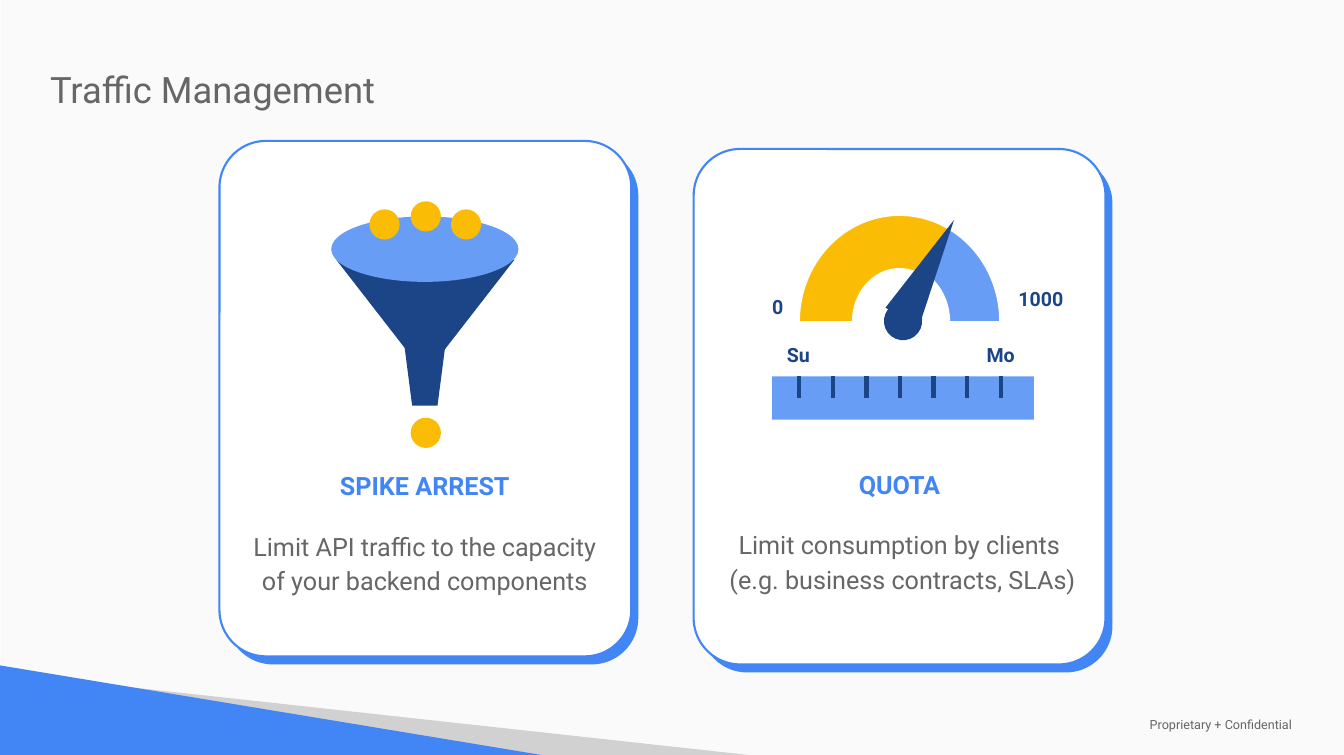
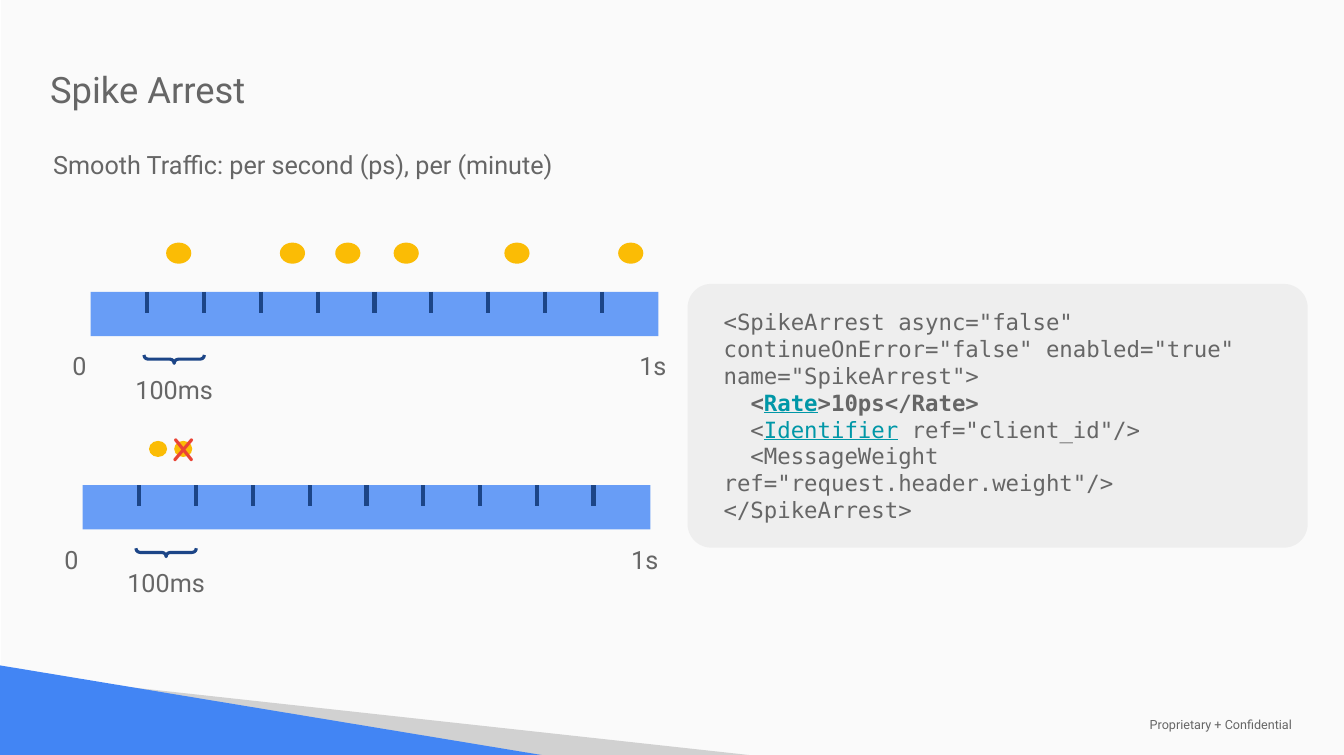
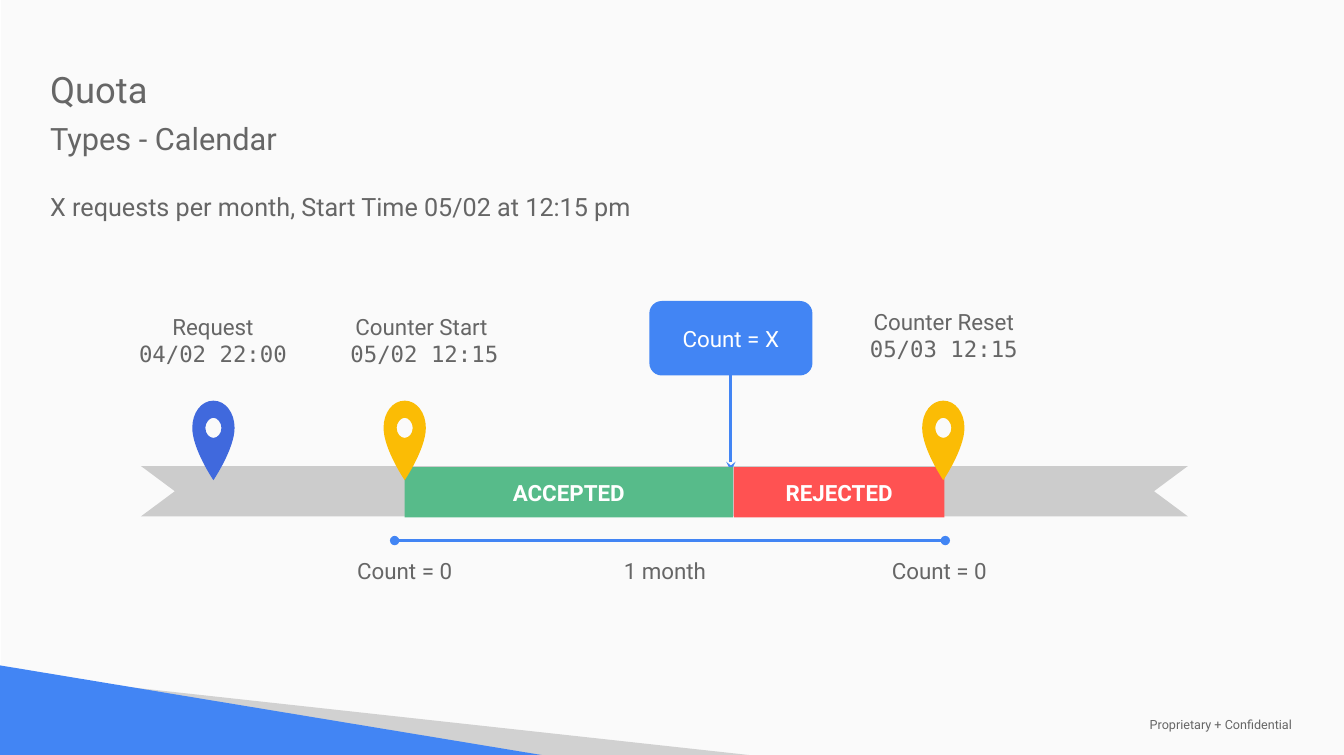
from lxml import etree
from pptx import Presentation
from pptx.dml.color import RGBColor
from pptx.enum import shapes as kinds, text as layout
from pptx.oxml.ns import qn
from pptx.util import Inches, Pt

SHAPE = kinds.MSO_SHAPE
CENTER, LEFT = layout.PP_ALIGN.CENTER, layout.PP_ALIGN.LEFT
TOP, MIDDLE = layout.MSO_ANCHOR.TOP, layout.MSO_ANCHOR.MIDDLE

PAPER, WHITE, GREY = "FAFAFA", "FFFFFF", "666666"
BLUE, LIGHT_BLUE, NAVY = "4285F4", "689DF6", "1C4587"
YELLOW, TEAL = "FBBC05", "0097A7"
SANS, MONO = "Roboto", "DejaVu Sans Mono"


def rgb(value):
    return RGBColor.from_string(value)


def add_run(paragraph, content, size, color, font, bold, underline):
    run = paragraph.add_run()
    run.text = content
    run.font.size, run.font.name = Pt(size), font
    run.font.bold = bold
    run.font.underline = underline or None
    run.font.color.rgb = rgb(color)


def write(frame, lines, size=18, color=GREY, font=SANS, bold=False, align=LEFT,
          anchor=TOP, inset=0.1, spacing=None, before=0):
    """Fill a frame; a line is a string or a list of (string, style changes)."""
    frame.word_wrap = True
    frame.vertical_anchor = anchor
    frame.margin_left = frame.margin_right = Inches(inset)
    frame.margin_top = frame.margin_bottom = Inches(inset)
    base = dict(size=size, color=color, font=font, bold=bold, underline=False)
    for index, line in enumerate(lines):
        paragraph = frame.add_paragraph() if index else frame.paragraphs[0]
        paragraph.alignment = align
        if spacing:
            paragraph.line_spacing = spacing
        if index and before:
            paragraph.space_before = Pt(before)
        for content, changes in [(line, {})] if isinstance(line, str) else line:
            for row, piece in enumerate(content.split("\n")):
                if row:
                    paragraph.add_line_break()
                if piece:
                    add_run(paragraph, piece, **{**base, **changes})


def label(slide, box, *lines, **style):
    write(slide.shapes.add_textbox(*map(Inches, box)).text_frame, lines, **style)


def paint(shape, fill=None, outline=None, width=1):
    shape.shadow.inherit = False
    if fill:
        shape.fill.solid()
        shape.fill.fore_color.rgb = rgb(fill)
    else:
        shape.fill.background()
    if outline:
        shape.line.color.rgb = rgb(outline)
        shape.line.width = Pt(width)
    else:
        shape.line.fill.background()
    return shape


def draw(slide, kind, box, fill=None, outline=None, width=1, adjust=(), turn=0):
    shape = slide.shapes.add_shape(kind, *map(Inches, box))
    for index, value in enumerate(adjust):
        shape.adjustments[index] = value
    if turn:
        shape.rotation = turn
    return paint(shape, fill, outline, width)


def outline_shape(slide, contours, fill):
    """Draw closed contours of (x, y) inches as one filled shape."""
    contours = [[(Inches(x), Inches(y)) for x, y in contour] for contour in contours]
    builder = slide.shapes.build_freeform(*contours[0][0])
    for index, contour in enumerate(contours):
        if index:
            builder.move_to(*contour[0])
        builder.add_line_segments(contour[1:], close=True)
    return paint(builder.convert_to_shape(), fill)


def connect(slide, start, end, color, width, head=None, tail=None):
    line = slide.shapes.add_connector(
        kinds.MSO_CONNECTOR.STRAIGHT, *map(Inches, (*start, *end)))
    line.line.color.rgb = rgb(color)
    line.line.width = Pt(width)
    properties = line.element.spPr
    for tag, arrow in (("a:headEnd", head), ("a:tailEnd", tail)):
        if arrow:
            etree.SubElement(properties.find(qn("a:ln")), qn(tag), type=arrow)
    etree.SubElement(properties, qn("a:effectLst"))
    return line


def ruler(slide, left, top, width, height, ticks):
    draw(slide, SHAPE.RECTANGLE, (left, top, width, height), LIGHT_BLUE)
    for x in ticks:
        connect(slide, (left + x, top), (left + x, top + 0.21), NAVY, 3)


def new_slide(prs, *heading):
    """Add a slide with the shared backdrop, corner, footer and title."""
    slide = prs.slides.add_slide(prs.slide_layouts[6])
    draw(slide, SHAPE.RECTANGLE, (0.01, 0, 13.35, 7.5), PAPER)
    outline_shape(slide, [[(1.14, 6.81), (7.44, 7.5), (5.36, 7.5)]], "D1D1D1")
    outline_shape(slide, [[(0, 6.61), (0, 7.5), (5.38, 7.5)]], BLUE)
    label(slide, (11.29, 7.11, 1.99, 0.18), "Proprietary + Confidential",
          size=9, anchor=MIDDLE, inset=0.13)
    label(slide, (0.4, 0.57, 7.23, 1.12 if len(heading) > 1 else 0.83), *heading,
          size=26, before=6)
    return slide


def card(slide, left, top, name, name_box, body, body_box, anchor):
    """Draw a card; the text boxes are placed from its corner."""
    width, height = 4.09, 5.12
    draw(slide, SHAPE.ROUNDED_RECTANGLE, (left + 0.07, top + 0.08, width, height),
         BLUE, adjust=[0.113])
    draw(slide, SHAPE.ROUNDED_RECTANGLE, (left, top, width, height),
         WHITE, BLUE, 1.5, adjust=[0.113])
    for lines, (x, y, *size), style in (
            ([name], name_box, dict(color=BLUE, bold=True)),
            (body, body_box, dict(spacing=1.15, anchor=anchor))):
        label(slide, (left + x, top + y, *size), *lines, align=CENTER, **style)


def funnel(slide, left, top):
    draw(slide, SHAPE.ISOSCELES_TRIANGLE, (left + 0.05, top + 0.58, 1.77, 1.14),
         NAVY, turn=180)
    draw(slide, SHAPE.FLOWCHART_MANUAL_OPERATION,
         (left + 0.72, top + 1.38, 0.42, 0.65), NAVY)
    draw(slide, SHAPE.OVAL, (left, top + 0.15, 1.86, 0.65), LIGHT_BLUE)
    for x, y in ((0.38, 0.08), (0.79, 0), (1.19, 0.08), (0.79, 2.15)):
        draw(slide, SHAPE.OVAL, (left + x, top + y, 0.3, 0.3), YELLOW)


def quota_gauge(slide, left, top):
    dial = (left + 0.27, top, 1.99, 2.11)
    for color, arc in ((LIGHT_BLUE, (108, 0, 0.25)), (YELLOW, (108, 178.99, 0.265))):
        draw(slide, SHAPE.BLOCK_ARC, dial, color, WHITE, 0.75, arc)
    draw(slide, SHAPE.ISOSCELES_TRIANGLE, (left + 1.36, top - 0.02, 0.38, 1.09),
         NAVY, turn=28.1)
    ruler(slide, left, top + 1.6, 2.6, 0.43, [0.27 + i / 3 for i in range(7)])
    draw(slide, SHAPE.OVAL, (left + 1.11, top + 0.86, 0.38, 0.38), NAVY, turn=8.1)
    for x, y, width, height, anchor, mark in (
            (0.02, 1.21, 0.48, 0.35, MIDDLE, "Su"), (2.03, 1.21, 0.48, 0.35, MIDDLE, "Mo"),
            (-0.16, 0.69, 0.43, 0.35, TOP, "0"), (2.27, 0.61, 0.8, 0.44, TOP, "1000")):
        label(slide, (left + x, top + y, width, height), mark, size=14, color=NAVY,
              bold=True, align=CENTER, anchor=anchor)


def second_scale(slide, left, top):
    """One second split into tenths, with its second tenth braced."""
    width = 5.64
    draw(slide, SHAPE.DOUBLE_BRACE, (left + 0.58, top + 0.16, 0.5, 0.6),
         outline=NAVY, width=2.25, turn=90)
    ruler(slide, left, top, width, 0.44, [width * i / 10 for i in range(1, 10)])
    for x, y, box_width, mark in ((-0.32, 0.52, 0.42, "0"), (5.29, 0.52, 0.59, "1s"),
                                  (0.29, 0.75, 1.08, "100ms")):
        label(slide, (left + x, top + y, box_width, 0.43), mark,
              align=CENTER, anchor=MIDDLE)


def code_panel(slide, left, top, width, height):
    draw(slide, SHAPE.ROUNDED_RECTANGLE, (left, top, width, height), "EEEEEE",
         adjust=[0.09])
    strong, link = {"bold": True}, {"color": TEAL, "underline": True}
    label(slide, (left + 0.26, top + 0.28, width - 0.32, height - 0.56),
          [('<SpikeArrest async="false" continueOnError="false" enabled="true" '
            'name="SpikeArrest">\n  ', {}),
           ("<", strong), ("Rate", {**strong, **link}), (">10ps</Rate>\n", strong),
           ("  <", {}), ("Identifier", link),
           (' ref="client_id"/>\n  <MessageWeight ref="request.header.weight"/>\n'
            "</SpikeArrest>", {})],
          size=16, font=MONO, anchor=MIDDLE)


def pin(slide, center, top, color):
    """Draw a map pin whose drop and hole are four cubic curves each."""
    drop = [(0, 0), (-0.12, 0), (-0.21, 0.12), (-0.21, 0.27),
            (-0.21, 0.48), (0, 0.79), (0, 0.79)]
    hole = [(0, 0.37), (-0.04, 0.37), (-0.08, 0.33), (-0.08, 0.27),
            (-0.08, 0.22), (-0.04, 0.17), (0, 0.17)]
    contours = [[(center + x, top + y) for x, y in
                 side + [(-x, y) for x, y in reversed(side[:-1])]]
                for side in (drop, hole)]
    shape = outline_shape(slide, [contour[::3] for contour in contours], color)
    controls = [contour[i:i + 2] for contour in contours
                for i in range(1, len(contour), 3)]
    segments = list(shape.element.iter(qn("a:lnTo")))
    for segment, handles in zip(segments, controls):
        segment.tag = qn("a:cubicBezTo")
        for position, (x, y) in enumerate(handles):
            point = etree.Element(qn("a:pt"), x=str(Inches(x) - shape.left),
                                  y=str(Inches(y) - shape.top))
            segment.insert(position, point)


def calendar(slide, left, top):
    callout = draw(slide, SHAPE.ROUNDED_RECTANGLE,
                   (left + 5.05, top - 1.64, 1.62, 0.74), BLUE)
    write(callout.text_frame, ["Count = X"], size=16, color=WHITE, align=CENTER,
          anchor=MIDDLE)
    ribbons = [draw(slide, SHAPE.CHEVRON, (left + x, top, width, 0.5), "CCCCCC",
                    adjust=[0.674]) for x, width in ((0, 4.12), (3.33, 7.07))]
    ribbons[1].element.spPr.find(qn("a:xfrm")).set("flipH", "1")

    limit = connect(slide, (left + 5.86, top - 0.9), (left + 5.86, top + 0.05),
                    BLUE, 2.25, tail="stealth")
    limit.begin_connect(callout, 2)
    for x, width, color, name in ((5.89, 2.09, "FF5252", "REJECTED"),
                                  (2.62, 3.26, "57BB8A", "ACCEPTED")):
        period = draw(slide, SHAPE.RECTANGLE, (left + x, top + 0.01, width, 0.5), color)
        write(period.text_frame, [name], size=16, color=WHITE, bold=True,
              align=CENTER, anchor=MIDDLE)

    events = ((0.72, "4069DD", (-0.33, -1.62, 2.09, 0.74), "Request", "04/02 22:00"),
              (2.62, YELLOW, (1.77, -1.62, 2.09, 0.74), "Counter Start ", "05/02 12:15"),
              (7.97, YELLOW, (6.82, -1.67, 2.31, 0.79), "Counter Reset", "05/03 12:15"))
    for pin_x, color, (x, y, *size), name, moment in events:
        pin(slide, left + pin_x, top - 0.65, color)
        label(slide, (left + x, top + y, *size),
              name, [(moment, {"font": MONO})], size=16, align=CENTER)

    connect(slide, (left + 2.52, top + 0.74), (left + 7.99, top + 0.74),
            BLUE, 2.25, "oval", "oval")
    for x, width, mark in ((1.91, 1.42, "Count = 0"), (4.16, 2.09, "1 month"),
                           (7.22, 1.42, "Count = 0")):
        label(slide, (left + x, top + 0.74, width, 0.6), mark,
              size=16, align=CENTER, anchor=MIDDLE)


def traffic_slide(prs):
    slide = new_slide(prs, "Traffic Management")
    card(slide, 2.18, 1.4, "SPIKE ARREST", (0.93, 3.17, 2.22, 0.44),
         ["Limit API traffic to the capacity of your backend components"],
         (0.11, 3.73, 3.86, 0.83), TOP)
    card(slide, 6.89, 1.48, "QUOTA", (1.21, 3.08, 1.67, 0.5),
         ["Limit consumption by clients ", "(e.g. business contracts, SLAs)"],
         (-0.13, 3.69, 4.41, 0.78), MIDDLE)
    funnel(slide, 3.29, 2)
    quota_gauge(slide, 7.67, 2.14)


def spike_slide(prs):
    slide = new_slide(prs, "Spike Arrest")
    label(slide, (0.43, 1.38, 7.19, 0.6), "Smooth Traffic: per second (ps), per (minute)")
    second_scale(slide, 0.9, 2.9)
    for x in (1.65, 2.78, 3.33, 3.91, 5.01, 6.14):
        draw(slide, SHAPE.OVAL, (x, 2.41, 0.25, 0.21), YELLOW)
    second_scale(slide, 0.82, 4.82)
    for x in (1.48, 1.73):
        draw(slide, SHAPE.OVAL, (x, 4.38, 0.18, 0.16), YELLOW)
    code_panel(slide, 6.83, 2.82, 6.16, 2.62)
    label(slide, (1.61, 4.2, 0.42, 0.5), "X", size=24, color="EA4335",
          font="Comic Neue", bold=True, align=CENTER, anchor=MIDDLE)


def quota_slide(prs):
    slide = new_slide(prs, "Quota", [("Types - Calendar", {"size": 22})])
    label(slide, (0.4, 1.8, 7.59, 0.5),
          "X requests per month, Start Time 05/02 at 12:15 pm")
    calendar(slide, 1.4, 4.63)


def main():
    prs = Presentation()
    prs.slide_width, prs.slide_height = Inches(13.35), Inches(7.5)
    traffic_slide(prs)
    spike_slide(prs)
    quota_slide(prs)
    prs.save("out.pptx")


if __name__ == "__main__":
    main()
